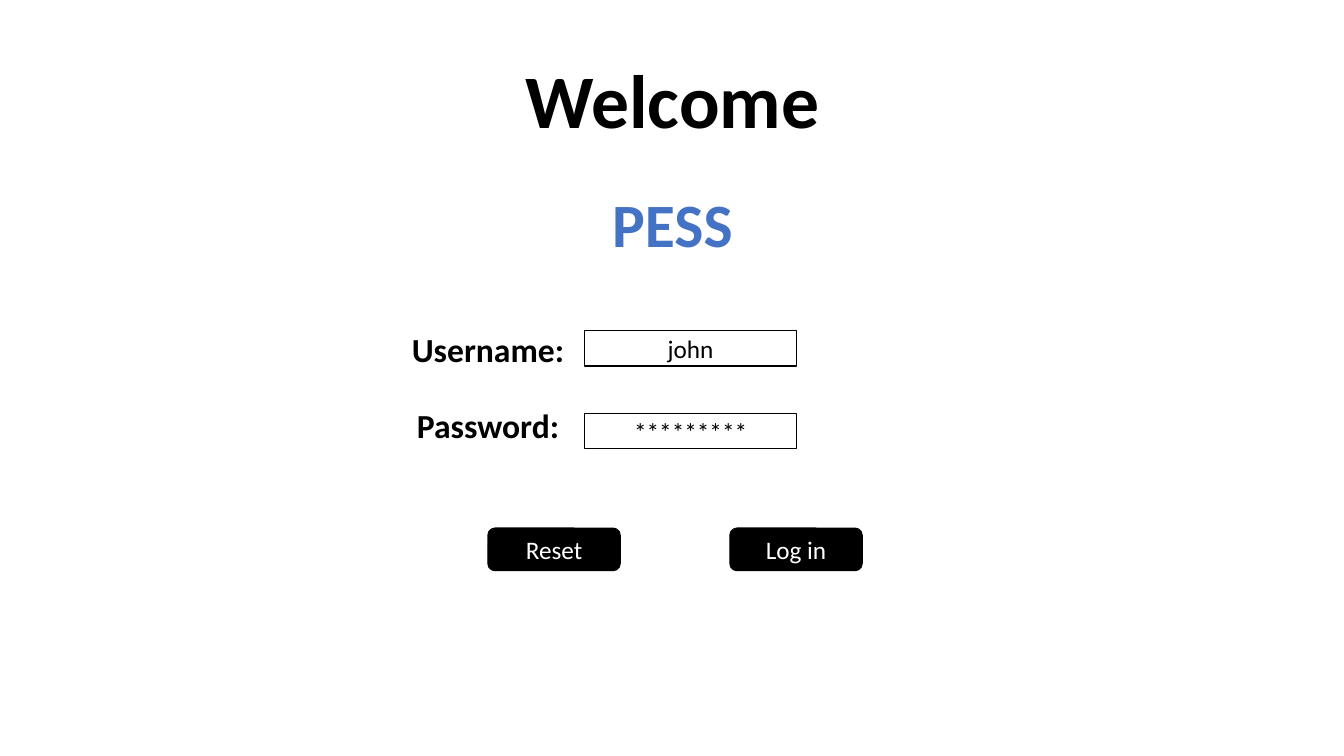
from dataclasses import dataclass

from pptx import Presentation
from pptx.dml.color import RGBColor
from pptx.enum.shapes import MSO_SHAPE
from pptx.enum.text import MSO_ANCHOR, PP_ALIGN
from pptx.util import Inches, Pt


@dataclass(frozen=True)
class Theme:
    font: str = "Calibri"
    black: RGBColor = RGBColor(0, 0, 0)
    white: RGBColor = RGBColor(255, 255, 255)
    blue: RGBColor = RGBColor(0x44, 0x72, 0xC4)
    welcome: int = 54
    title: int = 44
    label: int = 24
    control: int = 18
    outline: int = 1


theme = Theme()


def set_text(s, text, size, color, bold=False, anchor=MSO_ANCHOR.MIDDLE):
    tf = s.text_frame
    tf.word_wrap = True
    tf.vertical_anchor = anchor
    tf.text = text
    p = tf.paragraphs[0]
    p.alignment = PP_ALIGN.CENTER
    font = p.runs[0].font
    font.name = theme.font
    font.size = Pt(size)
    font.bold = bold
    font.color.rgb = color
    return p


def add_control(kind, left, top, width, height, text, fill, color):
    """Add an outlined input field or button."""
    s = slide.shapes.add_shape(
        kind, Inches(left), Inches(top), Inches(width), Inches(height))
    s.shadow.inherit = False
    s.fill.solid()
    s.fill.fore_color.rgb = fill
    s.line.color.rgb = theme.black
    s.line.width = Pt(theme.outline)
    set_text(s, text, theme.control, color)


prs = Presentation()
prs.slide_width = Inches(13.33)
prs.slide_height = Inches(7.5)
slide = prs.slides.add_slide(prs.slide_layouts[6])

# Headings
title = slide.shapes.add_textbox(Inches(0.92), Inches(1.53), Inches(11.5), Inches(1.45))
p = set_text(title, "PESS", theme.title, theme.blue, bold=True)
p.line_spacing = 0.9

welcome = slide.shapes.add_textbox(Inches(3.62), Inches(0.48), Inches(6.1), Inches(1.01))
set_text(welcome, "Welcome", theme.welcome, theme.black, bold=True, anchor=MSO_ANCHOR.TOP)

# Login form
for text, top in (("Username:", 3.21), ("Password:", 3.97)):
    label = slide.shapes.add_textbox(Inches(1.79), Inches(top), Inches(6.1), Inches(0.5))
    set_text(label, text, theme.label, theme.black, bold=True, anchor=MSO_ANCHOR.TOP)

for text, top in (("john", 3.28), ("*********", 4.1)):
    add_control(MSO_SHAPE.RECTANGLE, 5.8, top, 2.1, 0.35, text, theme.white, theme.black)

# Buttons
for text, left in (("Log in", 7.24), ("Reset", 4.84)):
    add_control(MSO_SHAPE.ROUNDED_RECTANGLE, left, 5.24, 1.31, 0.42,
                text, theme.black, theme.white)

prs.save("out.pptx")
